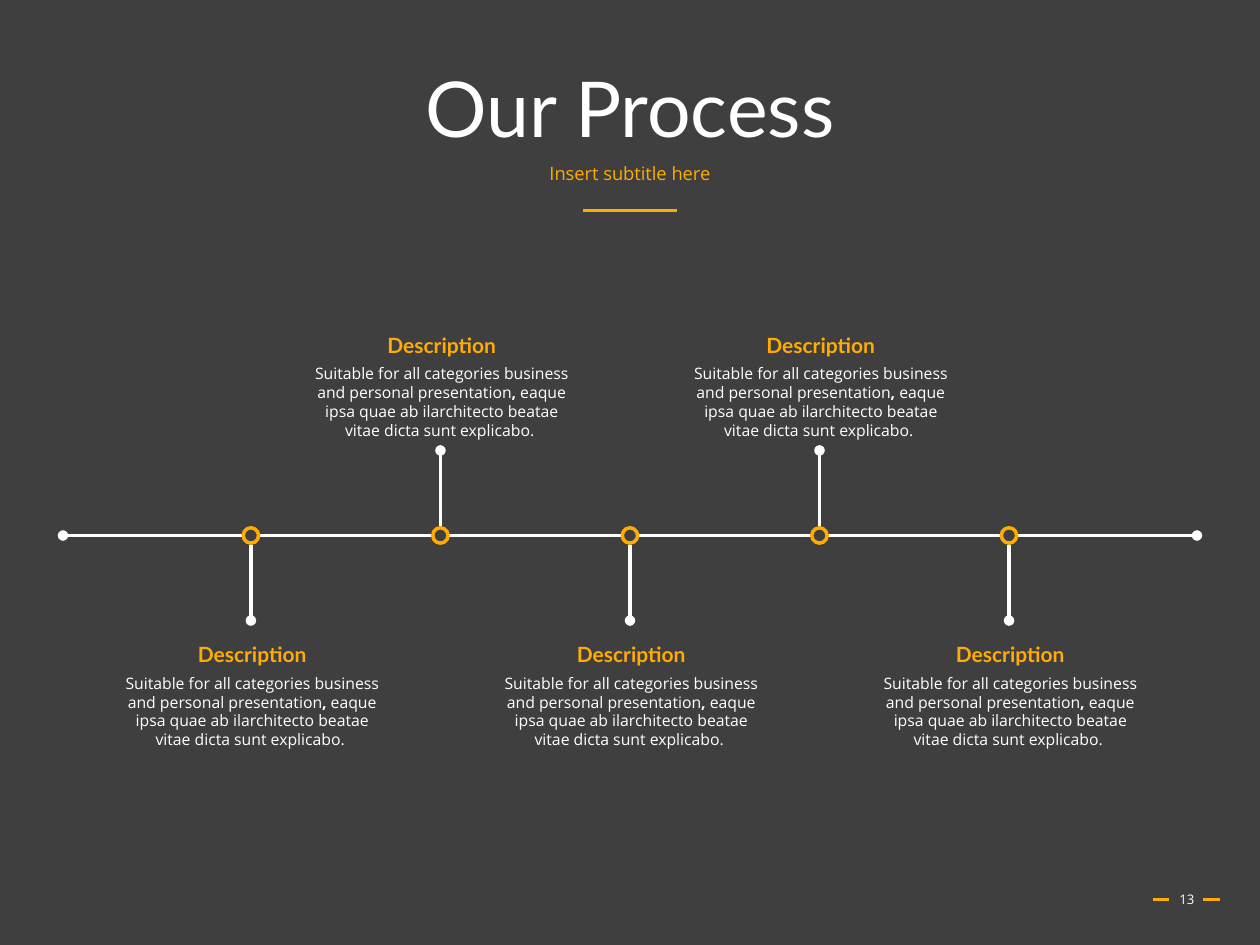
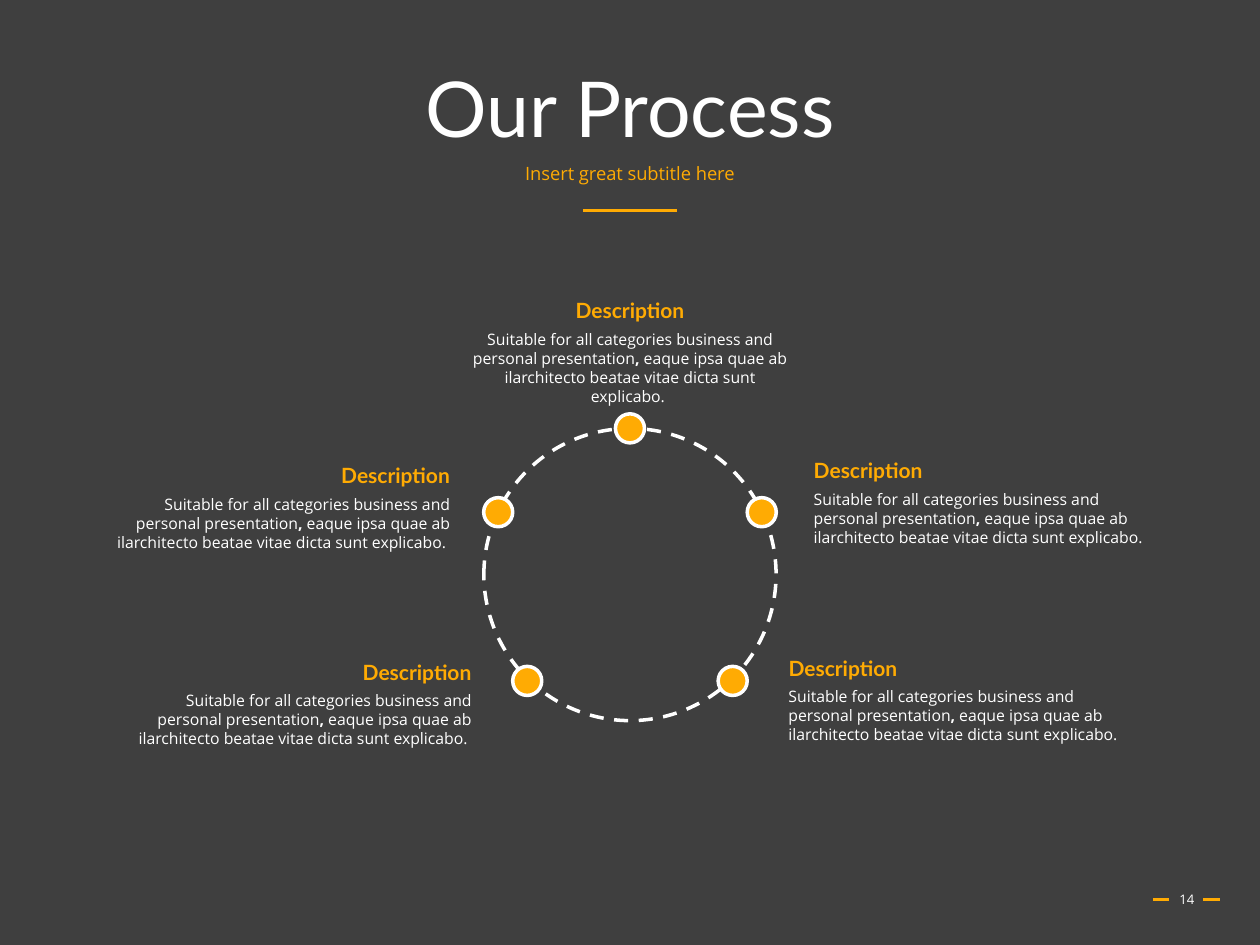
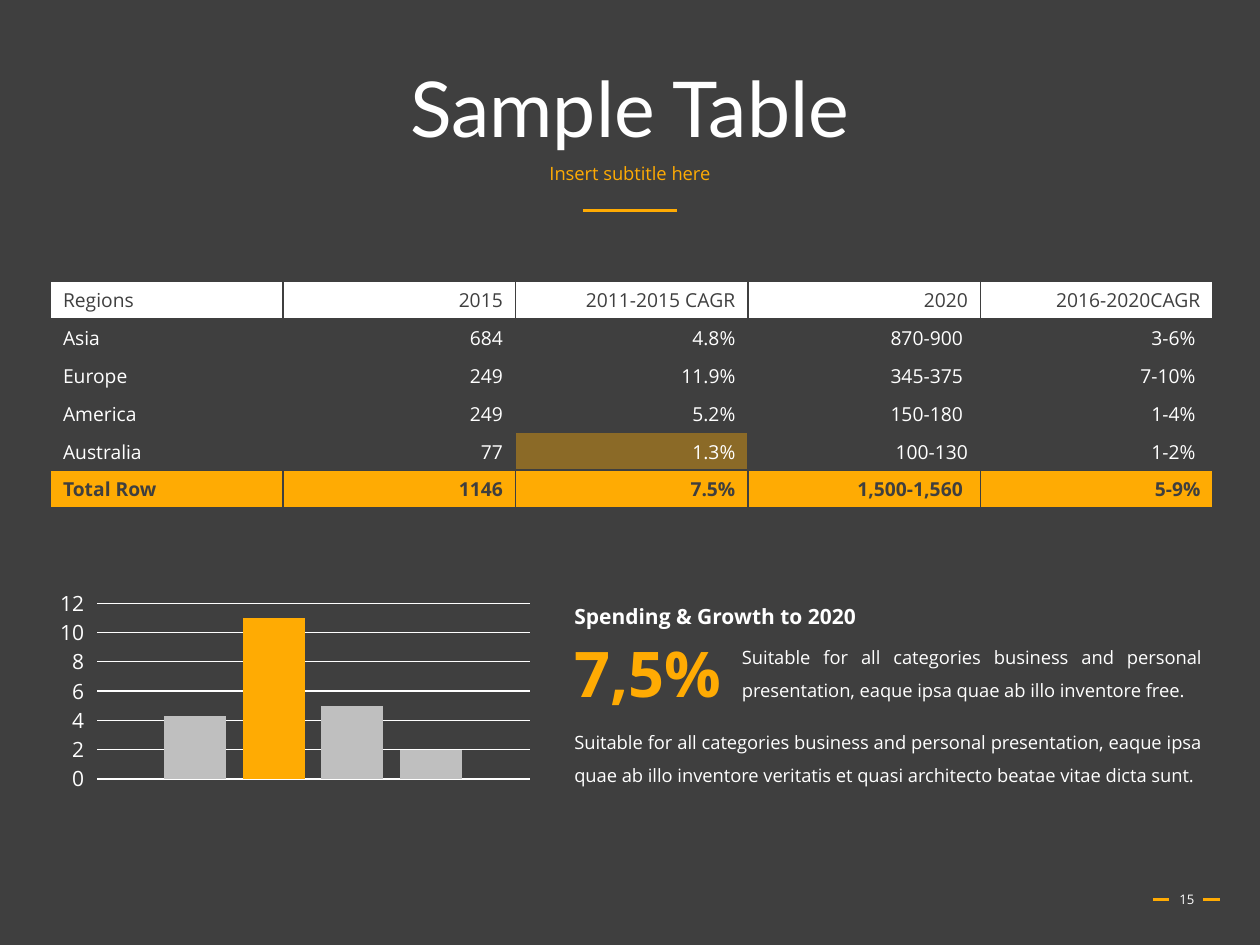
from pptx import Presentation
from pptx.chart.data import CategoryChartData
from pptx.dml.color import RGBColor
from pptx.enum.chart import XL_CHART_TYPE as ChartType, XL_TICK_MARK as TickMark
from pptx.enum.dml import MSO_LINE_DASH_STYLE as Dash
from pptx.enum.shapes import MSO_CONNECTOR as Connector, MSO_SHAPE as Shape
from pptx.enum.text import MSO_ANCHOR as Anchor, MSO_AUTO_SIZE as AutoSize, PP_ALIGN as Align
from pptx.oxml.ns import qn
from pptx.oxml.xmlchemy import OxmlElement
from pptx.util import Pt

# Shared look
DARK = RGBColor(0x3F, 0x3F, 0x3F)
WHITE = RGBColor(0xFF, 0xFF, 0xFF)
AMBER = RGBColor(0xFF, 0xAB, 0x03)
GREY = RGBColor(0xBF, 0xBF, 0xBF)
HEAD_FONT, BODY_FONT = "Lato", "Open Sans"

# Content: each run is (text, bold)
HEADING = "Description"
DESCRIPTION = [
    ("Suitable for all categories business and personal presentation", False),
    (",", True),
    (" eaque ipsa quae ab ilarchitecto beatae vitae dicta sunt explicabo. ", False),
]

# Timeline steps: does the step stand above the line?
STEPS_ABOVE = [False, True, False, True, False]

# Ring stages: dot offset from the ring centre, alignment, text edge or centre, top, body width
STAGES = [
    ((0, -83.5), Align.CENTER, 360, 166.7, 199),
    ((75.3, -35.6), Align.LEFT, 457.9, 258.2, 205),
    ((58.7, 60.8), Align.LEFT, 443.5, 370.8, 205),
    ((-75.3, -35.6), Align.RIGHT, 264.2, 261, 205),
    ((-58.7, 60.8), Align.RIGHT, 276.5, 373.3, 205),
]

REGIONS = [
    ["Regions", "2015", "2011-2015 CAGR", "2020", "2016-2020CAGR"],
    ["Asia", "684", "4.8%", " 870-900 ", " 3-6% "],
    ["Europe", "249", "11.9%", " 345-375 ", " 7-10% "],
    ["America", "249", "5.2%", " 150-180 ", "1-4% "],
    ["Australia", "77", "1.3%", "100-130", "1-2% "],
    ["Total Row", "1146", "7.5%", " 1,500-1,560 ", " 5-9%"],
]
HIGHLIGHT = (4, 2)

GROWTH = [("Series 1", 4.3, GREY), ("Series 2", 11, AMBER),
          ("Series 3", 5, GREY), ("Series 4", 2, GREY)]

SPENDING = "Spending & Growth to 2020"
RATE = "7,5%"
RATE_NOTE = ("Suitable for all categories business and personal presentation, "
             "eaque ipsa quae ab illo inventore free.")
SUMMARY = ("Suitable for all categories business and personal presentation, eaque ipsa quae ab "
           "illo inventore veritatis et quasi architecto beatae vitae dicta sunt.")


# Text and lines
def write(frame, runs, size, color=WHITE, font=BODY_FONT, align=Align.LEFT,
          spacing=None, before=None):
    paragraph = frame.paragraphs[0]
    paragraph.alignment = align
    if spacing:
        paragraph.line_spacing = spacing
    if before:
        paragraph.space_before = Pt(before)
    for text, bold in runs:
        run = paragraph.add_run()
        run.text = text
        run.font.size, run.font.name, run.font.bold = Pt(size), font, bold
        run.font.color.rgb = color


def add_text(slide, box, runs, size, anchor=Anchor.TOP, wrap=True, **style):
    frame = slide.shapes.add_textbox(*map(Pt, box)).text_frame
    frame.word_wrap = wrap
    frame.vertical_anchor = anchor
    write(frame, runs, size, **style)


def add_line(slide, start, end, color=WHITE, width=2, ovals=()):
    line = slide.shapes.add_connector(Connector.STRAIGHT, *map(Pt, start + end))
    line.line.color.rgb = color
    line.line.width = Pt(width)
    properties = line._element.spPr
    for tag in ovals:
        tip = OxmlElement(tag)
        tip.set("type", "oval")
        properties.find(qn("a:ln")).append(tip)
    properties.append(OxmlElement("a:effectLst"))


def add_circle(slide, x, y, diameter, outline, fill=None):
    circle = slide.shapes.add_shape(
        Shape.OVAL, Pt(x - diameter / 2), Pt(y - diameter / 2), Pt(diameter), Pt(diameter))
    circle.shadow.inherit = False
    if fill is None:
        circle.fill.background()
    else:
        circle.fill.solid()
        circle.fill.fore_color.rgb = fill
    circle.line.color.rgb = outline
    circle.line.width = Pt(2)
    return circle


def add_description(slide, x, top, width, align):
    """Heading over body text; x is the left edge, centre or right edge by alignment."""
    share = {Align.LEFT: 0, Align.CENTER: 0.5, Align.RIGHT: 1}[align]
    add_text(slide, (x - share * width, top + 18, width, 51), DESCRIPTION, 9, align=align)
    add_text(slide, (x - share * 123, top, 123, 21.6), [(HEADING, True)], 12,
             color=AMBER, font=HEAD_FONT, align=align)


def add_page(deck, title, subtitle, number):
    slide = deck.slides.add_slide(deck.slide_layouts[5])
    heading = slide.shapes.title
    heading.left, heading.top, heading.width, heading.height = map(Pt, (49.7, 28.8, 620.6, 70.6))
    frame = heading.text_frame
    frame.auto_size = AutoSize.NONE
    frame.vertical_anchor = Anchor.MIDDLE
    write(frame, [(title, False)], 44, font=HEAD_FONT, align=Align.CENTER, spacing=0.9)
    add_text(slide, (49.7, 90.7, 620.6, 28.8), [(subtitle, False)], 10.5, color=AMBER,
             align=Align.CENTER, spacing=0.9, before=10)
    # Title rule and the two dashes beside the page number
    for left, right, y in [(333.4, 386.6, 120.2), (658.8, 668.2, 514), (687.6, 697, 514)]:
        add_line(slide, (left, y), (right, y), AMBER, 1.75)
    add_text(slide, (662.4, 499.7, 31.7, 28.8), [(str(number), False)], 7.5,
             anchor=Anchor.MIDDLE, align=Align.CENTER)
    return slide


# Slide bodies
def draw_timeline(slide):
    axis_y, middle, step = 306, 360, 108.3
    add_line(slide, (36, axis_y), (684, axis_y), ovals=("a:headEnd", "a:tailEnd"))
    for index, above in enumerate(STEPS_ABOVE):
        x = middle + (index - len(STEPS_ABOVE) // 2) * step
        side = -1 if above else 1
        add_circle(slide, x, axis_y, 8.8, AMBER, DARK)
        add_line(slide, (x, axis_y + side * 5.4), (x, axis_y + side * 48.6),
                 ovals=("a:tailEnd",))
        add_description(slide, x + 0.7, 186.5 if above else 363.2, 164, Align.CENTER)


def draw_ring(slide):
    center_x, center_y = 360, 328.3
    ring = add_circle(slide, center_x, center_y, 167, WHITE)
    ring.line.dash_style = Dash.DASH
    for (dx, dy), align, x, top, width in STAGES:
        add_circle(slide, center_x + dx, center_y + dy, 16.6, WHITE, AMBER)
        add_description(slide, x, top, width, align)


def add_borders(cell):
    properties = cell._tc.get_or_add_tcPr()
    for position, side in enumerate(("a:lnL", "a:lnR", "a:lnT", "a:lnB")):
        border = OxmlElement(side)
        border.set("w", str(Pt(1)))
        fill, color = OxmlElement("a:solidFill"), OxmlElement("a:srgbClr")
        color.set("val", str(DARK))
        fill.append(color)
        border.append(fill)
        properties.insert(position, border)


def draw_regions(slide):
    rows, columns = len(REGIONS), len(REGIONS[0])
    table = slide.shapes.add_table(
        rows, columns, Pt(28.8), Pt(160.6), Pt(664.5), Pt(21.6 * rows)).table
    table.first_row = table.horz_banding = False
    row_fills = {0: WHITE, rows - 1: AMBER}
    for r, values in enumerate(REGIONS):
        for c, value in enumerate(values):
            cell = table.cell(r, c)
            fill = AMBER if (r, c) == HIGHLIGHT else row_fills.get(r)
            if fill is None:
                cell.fill.background()
            else:
                cell.fill.solid()
                cell.fill.fore_color.rgb = fill
            write(cell.text_frame, [(value, r == rows - 1)], 11,
                  color=DARK if r in row_fills else WHITE,
                  align=Align.RIGHT if c else Align.LEFT)
            add_borders(cell)
    # The highlighted cell is 40 % opaque
    alpha = OxmlElement("a:alpha")
    alpha.set("val", "40000")
    highlight = table.cell(*HIGHLIGHT)._tc.tcPr
    highlight.find(qn("a:solidFill")).find(qn("a:srgbClr")).append(alpha)


def draw_growth(slide):
    data = CategoryChartData()
    data.categories = ["1"]
    for name, value, _ in GROWTH:
        data.add_series(name, [value])
    chart = slide.shapes.add_chart(ChartType.COLUMN_CLUSTERED, Pt(28.8), Pt(334.1),
                                   Pt(279.4), Pt(121.7), data).chart
    chart.has_legend = chart.has_title = False
    chart.font.size, chart.font.name = Pt(10), BODY_FONT
    chart.font.color.rgb = WHITE
    chart.category_axis.visible = False
    axis = chart.value_axis
    axis.minimum_scale, axis.maximum_scale, axis.major_unit = 0, 12, 2
    axis.major_tick_mark = TickMark.OUTSIDE
    axis.format.line.fill.background()
    axis.major_gridlines.format.line.color.rgb = WHITE
    axis.major_gridlines.format.line.width = Pt(0.75)
    labels = axis.tick_labels.font
    labels.size, labels.name = Pt(12), BODY_FONT
    labels.color.rgb = WHITE
    plot = chart.plots[0]
    plot.vary_by_categories = False
    plot.gap_width, plot.overlap = 219, -27
    for series, (_, _, color) in zip(plot.series, GROWTH):
        series.format.fill.solid()
        series.format.fill.fore_color.rgb = color


def draw_spending(slide):
    left = 321.1
    justified = {"align": Align.JUSTIFY, "spacing": 1.5}
    add_text(slide, (left, 408.2, 373, 64.8), [(SUMMARY, False)], 10.5, **justified)
    add_text(slide, (left, 334.1, 308.9, 28.8), [(SPENDING, True)], 12, **justified)
    add_text(slide, (left, 359.3, 99.4, 51.1), [(RATE, True)], 36, wrap=False, color=AMBER)
    add_text(slide, (416.9, 359.3, 277.2, 45.4), [(RATE_NOTE, False)], 10.5, **justified)


def main():
    deck = Presentation()
    deck.slide_width, deck.slide_height = Pt(720), Pt(540)
    background = deck.slide_master.background.fill
    background.solid()
    background.fore_color.rgb = DARK

    draw_timeline(add_page(deck, "Our Process", "Insert subtitle here", 13))
    draw_ring(add_page(deck, "Our Process", "Insert great subtitle here", 14))
    numbers = add_page(deck, "Sample Table", "Insert subtitle here", 15)
    draw_regions(numbers)
    draw_growth(numbers)
    draw_spending(numbers)
    deck.save("out.pptx")


if __name__ == "__main__":
    main()
